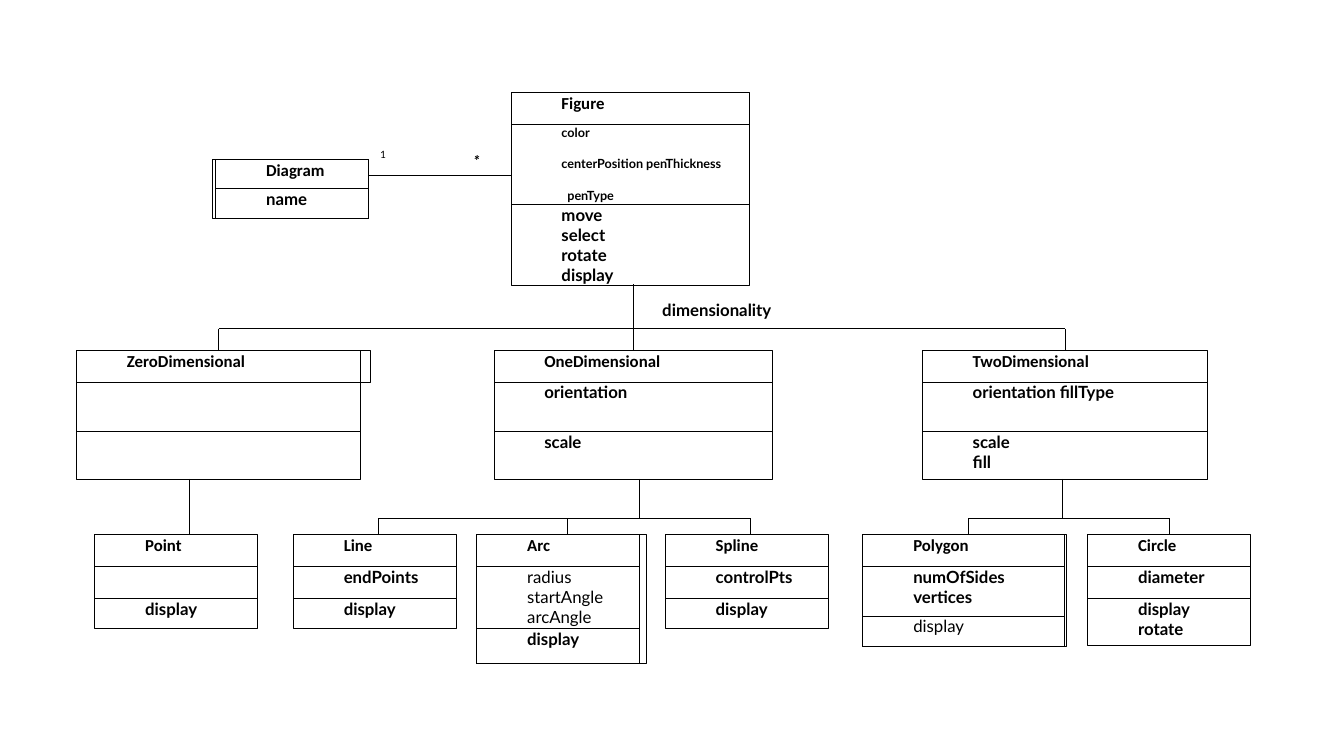
"""Build a class diagram slide of figures grouped by dimensionality."""
from dataclasses import dataclass

from lxml.etree import SubElement
from pptx import Presentation
from pptx.dml.color import RGBColor
from pptx.enum.shapes import MSO_CONNECTOR as Connector, MSO_SHAPE as Preset
from pptx.enum.text import MSO_ANCHOR as Anchor, PP_ALIGN as Align
from pptx.oxml.ns import qn
from pptx.util import Inches, Pt

COLORS = {"ink": "000000"}
COLUMNS, ROWS = 160, 90
WIDTH, HEIGHT = Inches(13.33), Inches(7.5)
INDENT = 6
HEADER = 3.8
TOP, MIDDLE, BOTTOM = 11.04, 41.7, 63.65
MIDDLE_END = 57
LEAF = 19.4


@dataclass(frozen=True)
class Cell:
    lines: tuple = ()
    rows: float = HEADER
    bold: bool = True
    size: float = 12
    gap: float = 0
    nudges: tuple = ()


@dataclass(frozen=True)
class ClassBox:
    name: str
    col: float
    row: float
    cols: float
    cells: tuple
    header_rows: float = HEADER
    header_extra: float = 0
    frame_left: float = 0
    frame_right: float = 0


@dataclass(frozen=True)
class Tree:
    stem: float
    start: float
    bus: float
    branches: tuple
    end: float


@dataclass(frozen=True)
class Label:
    text: str
    col: float
    row: float
    cols: float
    rows: float
    style: dict


CLASSES = (
    ClassBox("Diagram", 25.68, 18.96, 18.24, (Cell(("name",), 3.6),),
             header_rows=3.48, frame_left=0.36),
    ClassBox("Figure", 60.84, TOP, 28.32, (
        Cell(("color", "centerPosition penThickness", "penType"), 9.48,
             size=9, gap=11.6, nudges=(0, 0, 0.7)),
        Cell(("move", "select", "rotate", "display"), 9.6))),
    ClassBox("ZeroDimensional", 9.12, MIDDLE, 33.84,
             (Cell(rows=5.88), Cell(rows=5.64)), header_extra=1.08),
    ClassBox("OneDimensional", 58.8, MIDDLE, 33.12,
             (Cell(("orientation",), 5.88), Cell(("scale",), 5.64))),
    ClassBox("TwoDimensional", 109.8, MIDDLE, 33.96,
             (Cell(("orientation fillType",), 5.88), Cell(("scale", "fill"), 5.64))),
    ClassBox("Point", 11.28, BOTTOM, LEAF, (Cell(), Cell(("display",), 3.6))),
    ClassBox("Line", 34.92, BOTTOM, LEAF,
             (Cell(("endPoints",)), Cell(("display",), 3.6))),
    ClassBox("Arc", 56.76, BOTTOM, LEAF, (
        Cell(("radius", "startAngle", "arcAngle"), 7.4, bold=False),
        Cell(("display",), 4.1)), frame_right=0.84),
    ClassBox("Spline", 79.2, BOTTOM, LEAF,
             (Cell(("controlPts",)), Cell(("display",), 3.6))),
    ClassBox("Polygon", 102.72, BOTTOM, 24, (
        Cell(("numOfSides", "vertices"), 5.9),
        Cell(("display",), 3.55, bold=False)), frame_right=0.24),
    ClassBox("Circle", 129.48, BOTTOM, LEAF,
             (Cell(("diameter",)), Cell(("display", "rotate"), 5.6))),
)

TREES = (
    Tree(75.36, 33.84, 39.15, (26.04, 75.36, 126.8), MIDDLE),
    Tree(22.6, MIDDLE_END, 61.68, (22.6,), BOTTOM),
    Tree(76.08, MIDDLE_END, 61.68, (45, 67.56, 89.28), BOTTOM),
    Tree(126.48, MIDDLE_END, 61.68, (115.32, 139.2), BOTTOM),
)

LABELS = (
    Label("1", 45.24, 18, 2, 2, dict(font="Calibri", size=8, spacing=0.71)),
    Label("*", 56.28, 18, 2.6, 2.9,
          dict(font="Calibri", size=11, bold=True, italic=True)),
    Label("dimensionality", 78.84, 36.1, 23.4, 2.4,
          dict(size=12, bold=True, spacing=0.83)),
)


def across(cols: float) -> int:
    """Convert grid columns to a slide length."""
    return round(WIDTH * cols / COLUMNS)


def down(rows: float) -> int:
    """Convert grid rows to a slide length."""
    return round(HEIGHT * rows / ROWS)


def write(shape, lines: tuple, *, font: str = "Lato", size: float = 12,
          bold: bool = False, italic: bool = False, indent: float = 0,
          nudges: tuple = (), gap: float = 0, spacing: float = 1) -> None:
    """Write lines into a shape as formatted paragraphs."""
    frame = shape.text_frame
    frame.word_wrap = True
    frame.vertical_anchor = Anchor.TOP
    frame.margin_left = frame.margin_right = 0
    frame.margin_top = frame.margin_bottom = 0
    for index, line in enumerate(lines):
        para = frame.add_paragraph() if index else frame.paragraphs[0]
        para.alignment = Align.LEFT
        para.line_spacing = spacing
        para.space_before = Pt(gap if index else 0)
        nudge = nudges[index] if nudges else 0
        properties = para._p.get_or_add_pPr()
        properties.set("marL", str(across(indent + nudge)))
        properties.set("indent", "0")
        span = para.add_run()
        span.text = line
        span.font.name = font
        span.font.size = Pt(size)
        span.font.bold = bold
        span.font.italic = italic
        span.font.color.rgb = RGBColor.from_string(COLORS["ink"])


def outline(item) -> None:
    """Give a shape or connector the thin diagram line."""
    item.line.color.rgb = RGBColor.from_string(COLORS["ink"])
    item.line.width = Pt(0.5)


def draw_rect(page, col: float, row: float, cols: float, rows: float):
    """Draw an unfilled rectangle on the grid."""
    box = page.shapes.add_shape(Preset.RECTANGLE, across(col), down(row),
                                across(cols), down(rows))
    box.shadow.inherit = False
    box.fill.background()
    outline(box)
    return box


def draw_line(page, col: float, row: float, end_col: float, end_row: float) -> None:
    """Draw a straight line between two grid points."""
    line = page.shapes.add_connector(Connector.STRAIGHT, across(col), down(row),
                                     across(end_col), down(end_row))
    outline(line)
    SubElement(line._element.spPr, qn("a:effectLst"))


def draw_class(page, item: ClassBox) -> None:
    """Draw a class as a header, its cells and any wider frame."""
    if item.frame_left or item.frame_right:
        rows = item.header_rows + sum(cell.rows for cell in item.cells)
        draw_rect(page, item.col - item.frame_left, item.row,
                  item.cols + item.frame_left + item.frame_right, rows)
    header = draw_rect(page, item.col, item.row,
                       item.cols + item.header_extra, item.header_rows)
    write(header, (item.name,), font="Calibri", bold=True, indent=INDENT)
    if item.header_extra:
        draw_rect(page, item.col, item.row, item.cols, item.header_rows)
    row = item.row + item.header_rows
    for cell in item.cells:
        box = draw_rect(page, item.col, row, item.cols, cell.rows)
        write(box, cell.lines, size=cell.size, bold=cell.bold,
              indent=INDENT, nudges=cell.nudges, gap=cell.gap)
        row += cell.rows


def draw_tree(page, tree: Tree) -> None:
    """Draw a stem, its crossbar and the branches below."""
    draw_line(page, tree.stem, tree.start, tree.stem, tree.bus)
    if len(tree.branches) > 1:
        draw_line(page, tree.branches[0], tree.bus, tree.branches[-1], tree.bus)
    for branch in tree.branches:
        draw_line(page, branch, tree.bus, branch, tree.end)


def main() -> None:
    """Create the deck and save it."""
    deck = Presentation()
    deck.slide_width, deck.slide_height = WIDTH, HEIGHT
    page = deck.slides.add_slide(deck.slide_layouts[6])
    draw_line(page, 43.92, 20.88, 60.84, 20.88)
    for tree in TREES:
        draw_tree(page, tree)
    for item in CLASSES:
        draw_class(page, item)
    for label in LABELS:
        box = page.shapes.add_textbox(across(label.col), down(label.row),
                                      across(label.cols), down(label.rows))
        write(box, (label.text,), **label.style)
    deck.save("out.pptx")


if __name__ == "__main__":
    main()
